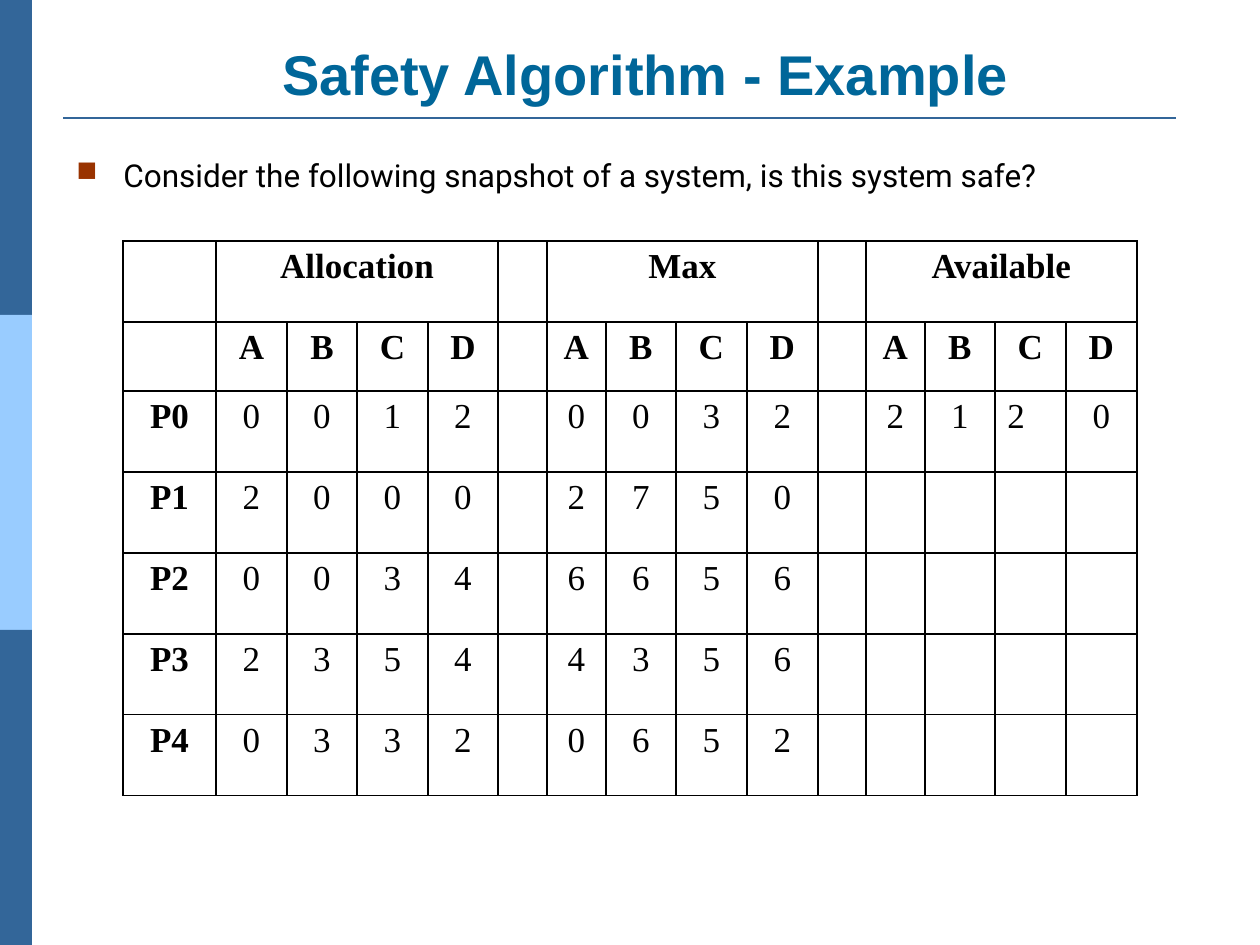
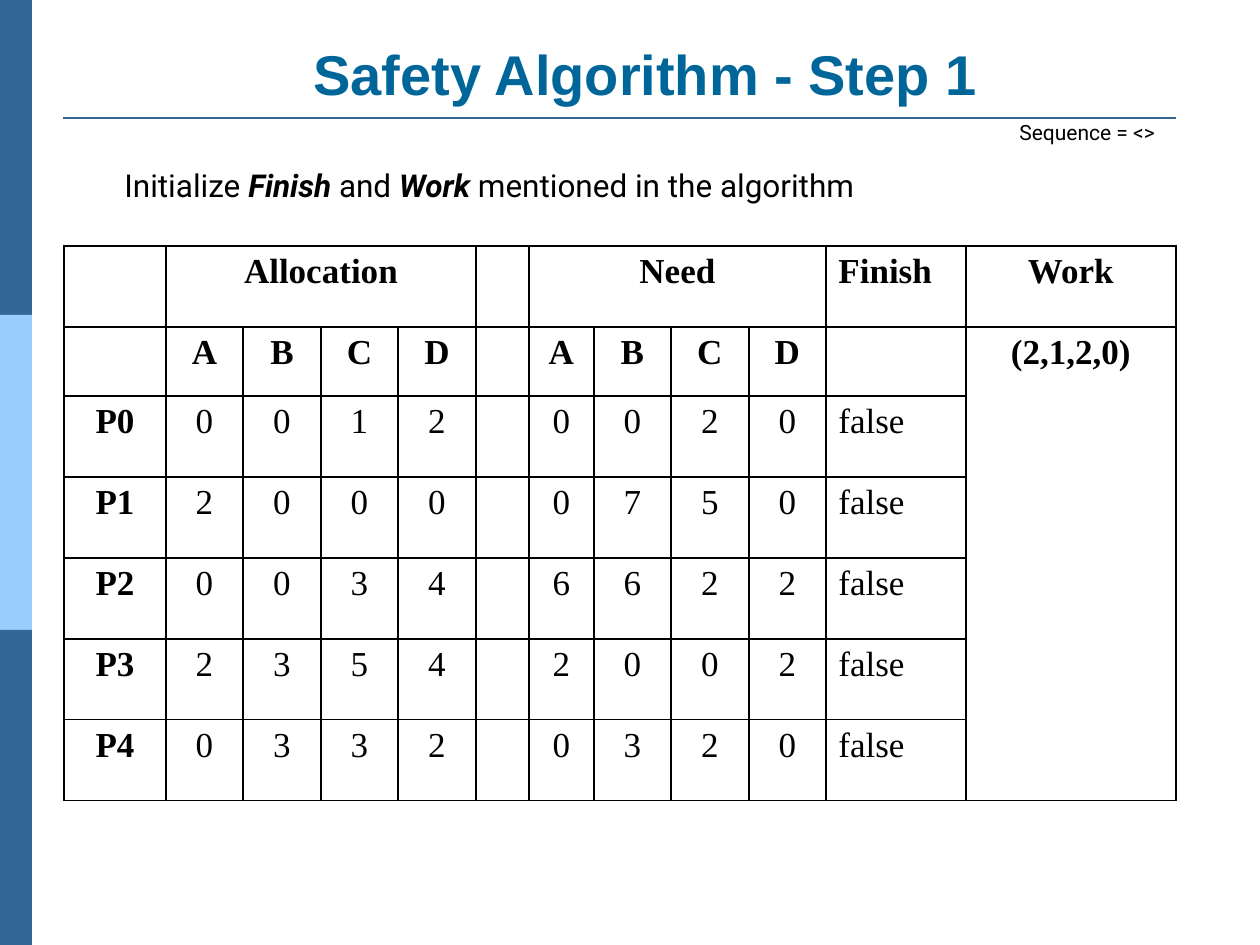
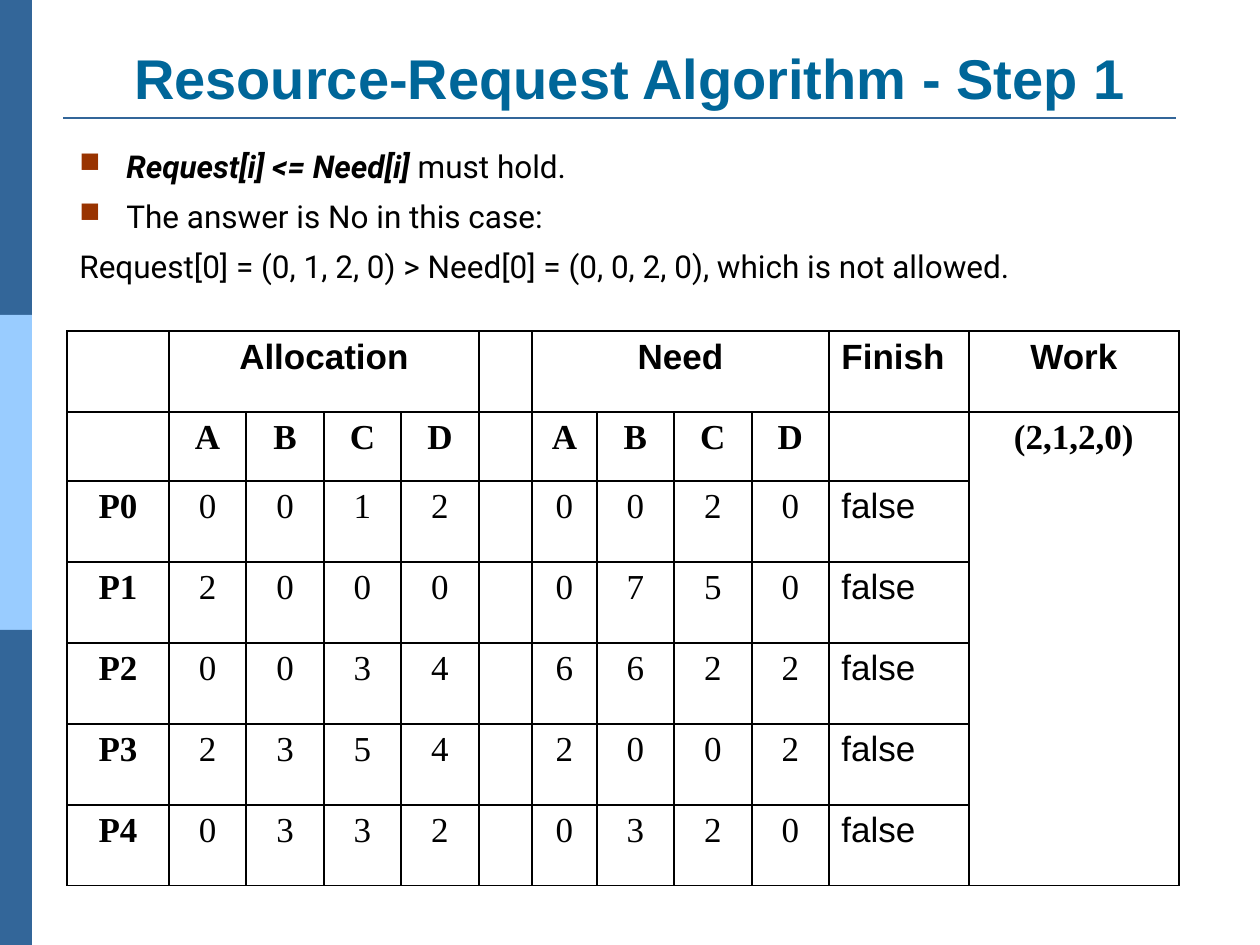
from lxml import etree
from pptx import Presentation
from pptx.dml.color import RGBColor
from pptx.enum.shapes import MSO_CONNECTOR, MSO_SHAPE
from pptx.enum.text import MSO_ANCHOR, MSO_AUTO_SIZE, PP_ALIGN
from pptx.oxml.ns import qn
from pptx.util import Emu, Pt

RECTANGLE = MSO_SHAPE.RECTANGLE
STRAIGHT = MSO_CONNECTOR.STRAIGHT
LEFT = PP_ALIGN.LEFT
CENTER = PP_ALIGN.CENTER
BOTTOM = MSO_ANCHOR.BOTTOM
NO_AUTOFIT = MSO_AUTO_SIZE.NONE

EMU_PER_PX = 914400 / 126
SLIDE_WIDTH, SLIDE_HEIGHT = 1260, 945
BAND_WIDTH, BAND_HEIGHT = 32, 315
BAND_COLORS = ["336699", "99CCFF", "336699"]
RULE_COLOR = "336699"
TITLE_COLOR = "006699"
TEXT_COLOR = "000000"
BULLET_COLOR = "993300"
BULLET_INDENT = 47

TITLE_FORMAT = {"name": "Arial", "size": Pt(32), "bold": True}
BODY_FORMAT = {"name": "Roboto", "size": Pt(18), "bold": False, "italic": False}
SMALL_FORMAT = {**BODY_FORMAT, "size": Pt(12)}
EMPHASIS_FORMAT = {**BODY_FORMAT, "bold": True, "italic": True}
CELL_FORMAT = {"name": "Times New Roman", "size": Pt(20)}

ROW_HEIGHTS = [81, 69, 81, 81, 81, 81, 81]
SNAPSHOT_WIDTHS = [93, 71, 70, 71, 70, 49, 59, 70, 71, 71, 48, 59, 70, 71, 71]
NEED_WIDTHS = [102, 77, 78, 77, 78, 53, 65, 77, 78, 77, 140, 210]
FINISH_COLUMN, WORK_COLUMN = 10, 11
RESOURCES = "ABCD"
ALLOCATION = ["0012", "2000", "0034", "2354", "0332"]
MAXIMUM = ["0032", "2750", "6656", "4356", "0652"]
NEED = ["0020", "0750", "6622", "2002", "0320"]
AVAILABLE = "2120"
NO_VALUES = [""] * 4


def px(length):
    return Emu(round(length * EMU_PER_PX))


def rgb(color):
    return RGBColor.from_string(color)


def apply_format(font, values, color=TEXT_COLOR):
    for name, value in values.items():
        setattr(font, name, value)
    font.color.rgb = rgb(color)


def add_run(paragraph, text, values):
    run = paragraph.add_run()
    run.text = text
    apply_format(run.font, values)


def add_bands(slide):
    for index, color in enumerate(BAND_COLORS):
        band = slide.shapes.add_shape(
            RECTANGLE, 0, px(index * BAND_HEIGHT), px(BAND_WIDTH), px(BAND_HEIGHT))
        band.shadow.inherit = False
        band.fill.solid()
        band.fill.fore_color.rgb = rgb(color)
        band.line.fill.background()


def add_title_rule(slide):
    rule = slide.shapes.add_connector(STRAIGHT, px(63), px(118), px(1176), px(118))
    rule.line.color.rgb = rgb(RULE_COLOR)
    rule.line.width = Pt(1.5)
    etree.SubElement(rule._element.spPr, qn("a:effectLst"))


def set_title(slide, text, left, top, width, height):
    title = slide.shapes.title
    title.left, title.top, title.width, title.height = map(px, (left, top, width, height))
    frame = title.text_frame
    frame.auto_size = NO_AUTOFIT
    frame.vertical_anchor = BOTTOM
    frame.text = text
    paragraph = frame.paragraphs[0]
    paragraph.alignment = CENTER
    apply_format(paragraph.runs[0].font, TITLE_FORMAT, TITLE_COLOR)


def add_slide(presentation, title, title_box):
    slide = presentation.slides.add_slide(presentation.slide_layouts[5])
    add_bands(slide)
    add_title_rule(slide)
    set_title(slide, title, *title_box)
    return slide


def add_bullet(paragraph):
    properties = paragraph._p.get_or_add_pPr()
    properties.set("marL", str(px(BULLET_INDENT)))
    properties.set("indent", str(-px(BULLET_INDENT)))
    bullet_color = etree.SubElement(properties, qn("a:buClr"))
    etree.SubElement(bullet_color, qn("a:srgbClr"), val=BULLET_COLOR)
    etree.SubElement(properties, qn("a:buSzPct"), val="90000")
    etree.SubElement(properties, qn("a:buChar"), char="■")


def add_text(slide, left, top, width, height, paragraphs, bullets=0, wrap=True):
    box = slide.shapes.add_textbox(px(left), px(top), px(width), px(height))
    frame = box.text_frame
    frame.word_wrap = wrap
    for index, runs in enumerate(paragraphs):
        paragraph = frame.add_paragraph() if index else frame.paragraphs[0]
        if index < bullets:
            add_bullet(paragraph)
        if index:
            paragraph.space_before = Pt(7)
        for text, values in runs:
            add_run(paragraph, text, values)


def set_borders(cell):
    properties = cell._tc.get_or_add_tcPr()
    for index, side in enumerate(["lnL", "lnR", "lnT", "lnB"]):
        border = etree.Element(qn(f"a:{side}"), w=str(Pt(1)))
        fill = etree.SubElement(border, qn("a:solidFill"))
        etree.SubElement(fill, qn("a:srgbClr"), val=TEXT_COLOR)
        properties.insert(index, border)


def add_table(slide, left, top, widths, rows, merges, left_cells, arial_cells=()):
    table = slide.shapes.add_table(
        len(rows), len(widths), px(left), px(top),
        px(sum(widths)), px(sum(ROW_HEIGHTS))).table
    table.first_row = False
    table.horz_banding = False
    for column, width in zip(table.columns, widths):
        column.width = px(width)
    for row, height in zip(table.rows, ROW_HEIGHTS):
        row.height = px(height)
    for row_index, values in enumerate(rows):
        for column_index, text in enumerate(values):
            position = (row_index, column_index)
            cell = table.cell(*position)
            cell.fill.background()
            set_borders(cell)
            if text:
                paragraph = cell.text_frame.paragraphs[0]
                paragraph.alignment = LEFT if position in left_cells else CENTER
                cell_format = {**CELL_FORMAT, "bold": row_index < 2 or column_index == 0}
                if position in arial_cells:
                    cell_format["name"] = "Arial"
                add_run(paragraph, text, cell_format)
    for first, last in merges:
        table.cell(*first).merge(table.cell(*last))


def add_snapshot_table(slide):
    rows = [
        ["", "Allocation", "", "", "", "", "Max", "", "", "", "", "Available", "", "", ""],
        ["", *RESOURCES, "", *RESOURCES, "", *RESOURCES],
    ]
    for index, (allocation, maximum) in enumerate(zip(ALLOCATION, MAXIMUM)):
        available = NO_VALUES if index else AVAILABLE
        rows.append([f"P{index}", *allocation, "", *maximum, "", *available])
    merges = [((0, start), (0, start + 3)) for start in (1, 6, 11)]
    add_table(slide, 123, 241, SNAPSHOT_WIDTHS, rows, merges, {(2, 13)})


def add_need_table(slide, left, top, arial=False):
    rows = [
        ["", "Allocation", "", "", "", "", "Need", "", "", "", "Finish", "Work"],
        ["", *RESOURCES, "", *RESOURCES, "", "(2,1,2,0)"],
    ]
    for index, (allocation, need) in enumerate(zip(ALLOCATION, NEED)):
        rows.append([f"P{index}", *allocation, "", *need, "false", ""])
    last_row = len(rows) - 1
    merges = [((0, start), (0, start + 3)) for start in (1, 6)]
    merges.append(((1, WORK_COLUMN), (last_row, WORK_COLUMN)))
    finish_cells = {(row, FINISH_COLUMN) for row in range(len(rows))}
    heading_cells = {(0, column) for column in range(len(NEED_WIDTHS))}
    arial_cells = finish_cells | heading_cells if arial else ()
    add_table(slide, left, top, NEED_WIDTHS, rows, merges, finish_cells, arial_cells)


def main():
    presentation = Presentation()
    presentation.slide_width = px(SLIDE_WIDTH)
    presentation.slide_height = px(SLIDE_HEIGHT)
    safety_title_box = (64, 21, 1163, 92)

    slide = add_slide(presentation, "Safety Algorithm - Example", safety_title_box)
    question = "Consider the following snapshot of a system, is this system safe?"
    add_text(slide, 64, 150, 1189, 63, [[(question, BODY_FORMAT)]], bullets=1)
    add_snapshot_table(slide)

    slide = add_slide(presentation, "Safety Algorithm - Step 1", safety_title_box)
    add_text(slide, 112, 160, 808, 50, [[
        ("Initialize ", BODY_FORMAT),
        ("Finish", EMPHASIS_FORMAT),
        (" and ", BODY_FORMAT),
        ("Work ", EMPHASIS_FORMAT),
        ("mentioned in the algorithm", BODY_FORMAT),
    ]])
    add_need_table(slide, 64, 246)
    add_text(slide, 1007, 113, 169, 38, [[("Sequence = <>", SMALL_FORMAT)]], wrap=False)

    slide = add_slide(
        presentation, "Resource-Request Algorithm - Step 1", (63, 38, 1134, 79))
    refusal = "Request[0] = (0, 1, 2, 0) > Need[0] = (0, 0, 2, 0), which is not allowed."
    add_text(slide, 67, 141, 1134, 624, [
        [("Request[i] <= Need[i] ", EMPHASIS_FORMAT), ("must hold.", BODY_FORMAT)],
        [("The answer is No in this case:", BODY_FORMAT)],
        [(refusal, BODY_FORMAT)],
    ], bullets=2)
    add_need_table(slide, 67, 331, arial=True)

    presentation.save("out.pptx")


if __name__ == "__main__":
    main()
